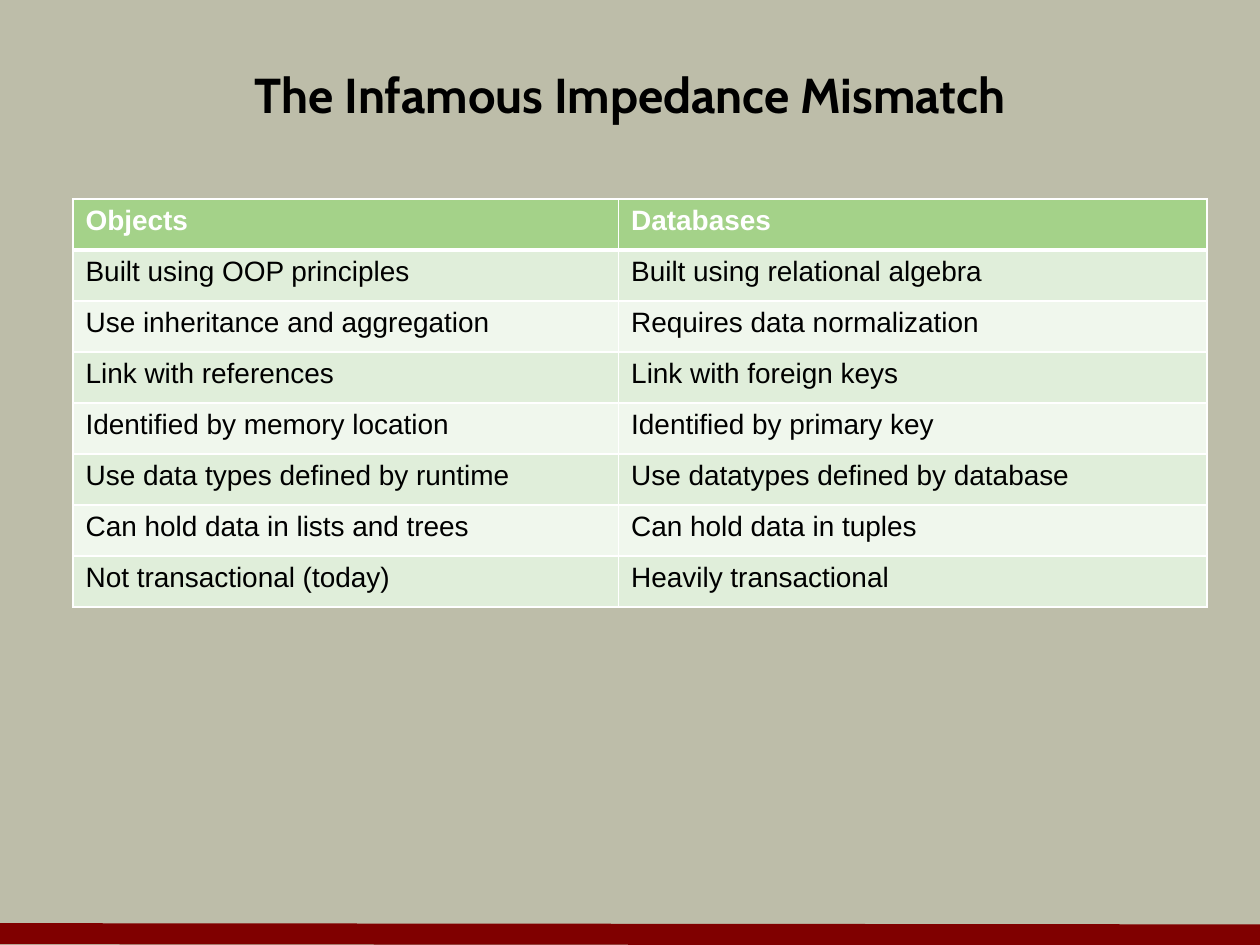
from lxml.etree import SubElement
from pptx import Presentation
from pptx.dml.color import RGBColor
from pptx.enum.shapes import MSO_CONNECTOR
from pptx.enum.text import MSO_ANCHOR, PP_ALIGN
from pptx.oxml.ns import qn
from pptx.util import Inches, Pt

BACKGROUND = RGBColor(0xBD, 0xBD, 0xA9)
FOOTER_RED = RGBColor(0x80, 0x00, 0x00)
HEADER_GREEN = RGBColor(0xA4, 0xD2, 0x89)
BAND_GREEN = RGBColor(0xE0, 0xEE, 0xDA)
BAND_PALE = RGBColor(0xF0, 0xF7, 0xED)
WHITE = RGBColor(0xFF, 0xFF, 0xFF)
BLACK = RGBColor(0x00, 0x00, 0x00)

COMPARISON = [
    ("Objects", "Databases"),
    ("Built using OOP principles", "Built using relational algebra"),
    ("Use inheritance and aggregation", "Requires data normalization"),
    ("Link with references", "Link with foreign keys"),
    ("Identified by memory location", "Identified by primary key"),
    ("Use data types defined by runtime", "Use datatypes defined by database"),
    ("Can hold data in lists and trees", "Can hold data in tuples"),
    ("Not transactional (today)", "Heavily transactional"),
]
COLUMN_WIDTHS = (4.33, 4.67)
ROW_HEIGHT = 0.405


def style_text(paragraph, font_name, size, color, bold):
    font = paragraph.runs[0].font
    font.name = font_name
    font.size = Pt(size)
    font.color.rgb = color
    font.bold = bold


def add_footer_bar(slide):
    bar = slide.shapes.add_connector(
        MSO_CONNECTOR.STRAIGHT, Inches(0), Inches(7.41), Inches(10), Inches(7.42)
    )
    bar.line.color.rgb = FOOTER_RED
    bar.line.width = Pt(12)
    SubElement(bar.element.spPr, qn("a:effectLst"))


def set_title(slide, text):
    title = slide.shapes.title
    title.left, title.top = Inches(0.5), Inches(0.33)
    title.width, title.height = Inches(9), Inches(0.83)
    frame = title.text_frame
    frame.text = text
    frame.word_wrap = True
    frame.vertical_anchor = MSO_ANCHOR.MIDDLE
    heading = frame.paragraphs[0]
    heading.alignment = PP_ALIGN.CENTER
    style_text(heading, "Cabin", 28, BLACK, True)


def set_borders(cell, top, bottom):
    properties = cell._tc.get_or_add_tcPr()
    for side, width in (("lnL", 1), ("lnR", 1), ("lnT", top), ("lnB", bottom)):
        border = SubElement(properties, qn(f"a:{side}"), w=str(Pt(width)))
        fill = SubElement(border, qn("a:solidFill"))
        SubElement(fill, qn("a:srgbClr"), val=str(WHITE))


def style_cell(cell, text, row):
    is_header = row == 0
    set_borders(cell, 3 if row == 1 else 1, 3 if is_header else 1)
    cell.fill.solid()
    band = BAND_GREEN if row % 2 else BAND_PALE
    cell.fill.fore_color.rgb = HEADER_GREEN if is_header else band
    cell.text_frame.text = text
    entry = cell.text_frame.paragraphs[0]
    entry.alignment = PP_ALIGN.LEFT
    style_text(entry, "Arial", 16, WHITE if is_header else BLACK, is_header)


def add_comparison_table(slide):
    table = slide.shapes.add_table(
        len(COMPARISON), len(COLUMN_WIDTHS), Inches(0.58), Inches(1.58),
        Inches(sum(COLUMN_WIDTHS)), Inches(ROW_HEIGHT * len(COMPARISON)),
    ).table
    for column, width in zip(table.columns, COLUMN_WIDTHS):
        column.width = Inches(width)
    for row, entries in enumerate(COMPARISON):
        table.rows[row].height = Inches(ROW_HEIGHT)
        for column, text in enumerate(entries):
            style_cell(table.cell(row, column), text, row)


def main():
    presentation = Presentation()
    presentation.slide_width = Inches(10)
    presentation.slide_height = Inches(7.5)
    slide = presentation.slides.add_slide(presentation.slide_layouts[5])
    slide.background.fill.solid()
    slide.background.fill.fore_color.rgb = BACKGROUND
    add_footer_bar(slide)
    set_title(slide, "The Infamous Impedance Mismatch")
    add_comparison_table(slide)
    presentation.save("out.pptx")


if __name__ == "__main__":
    main()
